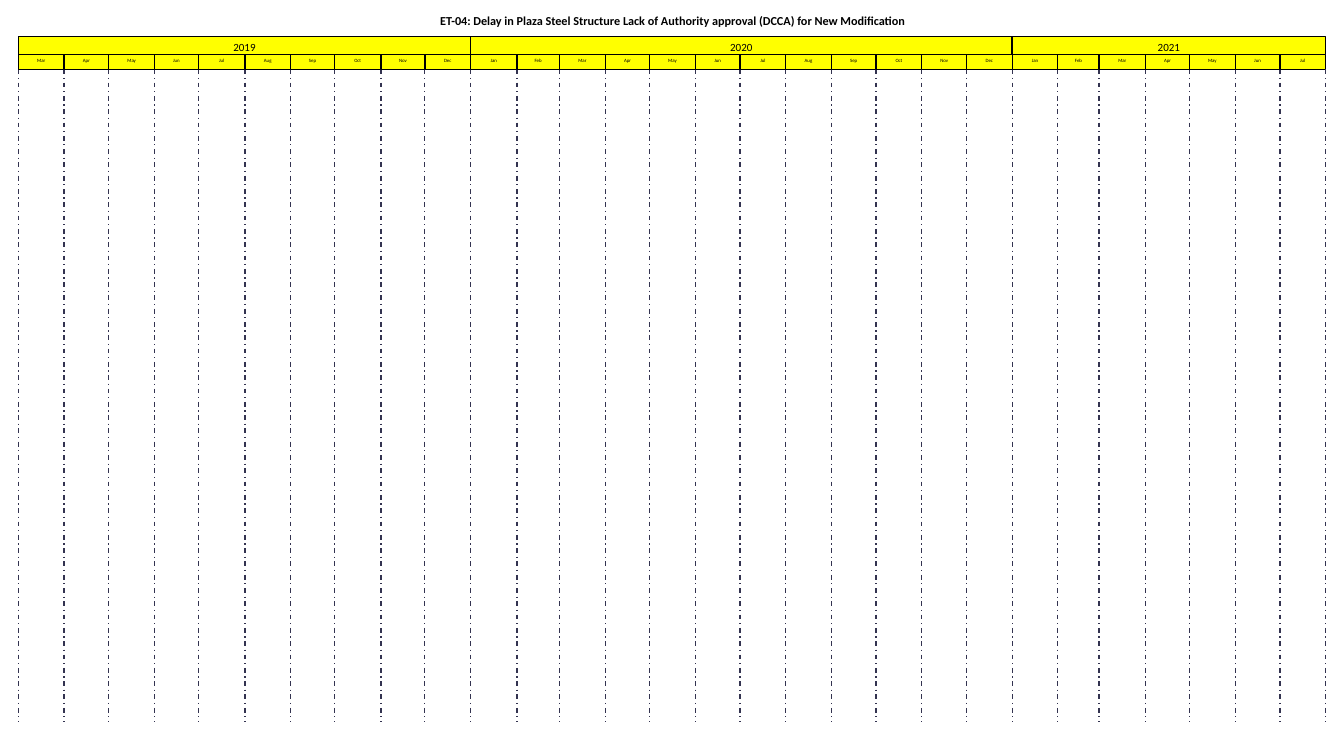
from pptx import Presentation
from pptx.dml.color import RGBColor as RGB
from pptx.enum.dml import MSO_LINE as Dash
from pptx.enum.shapes import MSO_CONNECTOR as Conn, MSO_SHAPE as Form
from pptx.enum.text import MSO_ANCHOR as Anchor, MSO_AUTO_SIZE as Fit, PP_ALIGN as Align
from pptx.oxml.ns import qn
from pptx.util import Pt
from lxml import etree

PX = 9144
BLACK = RGB(0, 0, 0)
YELLOW = RGB(255, 255, 0)
NAVY = RGB(0x33, 0x33, 0x50)

LEFT, RIGHT = 21, 1510
YEAR_TOP, MONTH_TOP, GRID_TOP, GRID_END = 42, 62, 79, 823
MONTHS = "Jan Feb Mar Apr May Jun Jul Aug Sep Oct Nov Dec".split()
DAYS = [31, 28, 31, 30, 31, 30, 31, 31, 30, 31, 30, 31]
SPANS = {2019: (2, 12), 2020: (0, 12), 2021: (0, 7)}


def write(shape, text, font="Calibri", size=9, color=BLACK, bold=False, side=10, top=5):
    frame = shape.text_frame
    frame.word_wrap = True
    frame.auto_size = Fit.NONE
    frame.vertical_anchor = Anchor.TOP
    frame.margin_left = frame.margin_right = side * PX
    frame.margin_top = frame.margin_bottom = top * PX
    para = frame.paragraphs[0]
    para.alignment = Align.CENTER
    run = para.add_run()
    run.text = text
    run.font.name = font
    run.font.size = Pt(size)
    run.font.bold = bold
    run.font.color.rgb = color


class Chart:
    fill, edge, rule = YELLOW, BLACK, NAVY
    width = Pt(1)

    def __init__(self, slide):
        self.slide = slide

    def title(self, text, x, y, w, h):
        shape = self.slide.shapes.title
        shape.left, shape.top, shape.width, shape.height = (n * PX for n in (x, y, w, h))
        write(shape, text, size=10, bold=True)

    def cell(self, text, x, y, w, h, **style):
        shape = self.slide.shapes.add_shape(Form.RECTANGLE, *(n * PX for n in (x, y, w, h)))
        shape.shadow.inherit = False
        shape.fill.solid()
        shape.fill.fore_color.rgb = self.fill
        shape.line.color.rgb = self.edge
        shape.line.width = self.width
        write(shape, text, **style)

    def guide(self, x):
        line = self.slide.shapes.add_connector(
            Conn.STRAIGHT, *(n * PX for n in (x, GRID_TOP, x, GRID_END)))
        line.line.color.rgb = self.rule
        line.line.width = self.width
        line.line.dash_style = Dash.DASH_DOT
        etree.SubElement(line._element.spPr, qn("a:effectLst"))


def plan():
    spans = [(year, month, DAYS[month] + (month == 1 and year % 4 == 0))
             for year, (first, last) in SPANS.items() for month in range(first, last)]
    total = sum(days for _, _, days in spans)
    done = 0
    for year, month, days in spans:
        start = LEFT + round((RIGHT - LEFT) * done / total)
        done += days
        yield year, MONTHS[month], start, LEFT + round((RIGHT - LEFT) * done / total)


def main():
    deck = Presentation()
    deck.slide_width, deck.slide_height = 1531 * PX, 833 * PX
    chart = Chart(deck.slides.add_slide(deck.slide_layouts[5]))
    chart.title("ET-04: Delay in Plaza Steel Structure Lack of Authority approval "
                "(DCCA) for New Modification", LEFT, 10, 1490, 31)
    cols = list(plan())
    for year in SPANS:
        ends = [(start, end) for own, _, start, end in cols if own == year]
        start, end = ends[0][0], ends[-1][1]
        chart.cell(str(year), start, YEAR_TOP, end - start, MONTH_TOP - YEAR_TOP, top=4)
    for _, name, start, end in cols:
        chart.guide(start)
        chart.cell(name, start, MONTH_TOP, end - start, GRID_TOP - MONTH_TOP,
                   size=4, side=0, top=4)
    chart.guide(RIGHT)
    deck.save("out.pptx")


if __name__ == "__main__":
    main()
